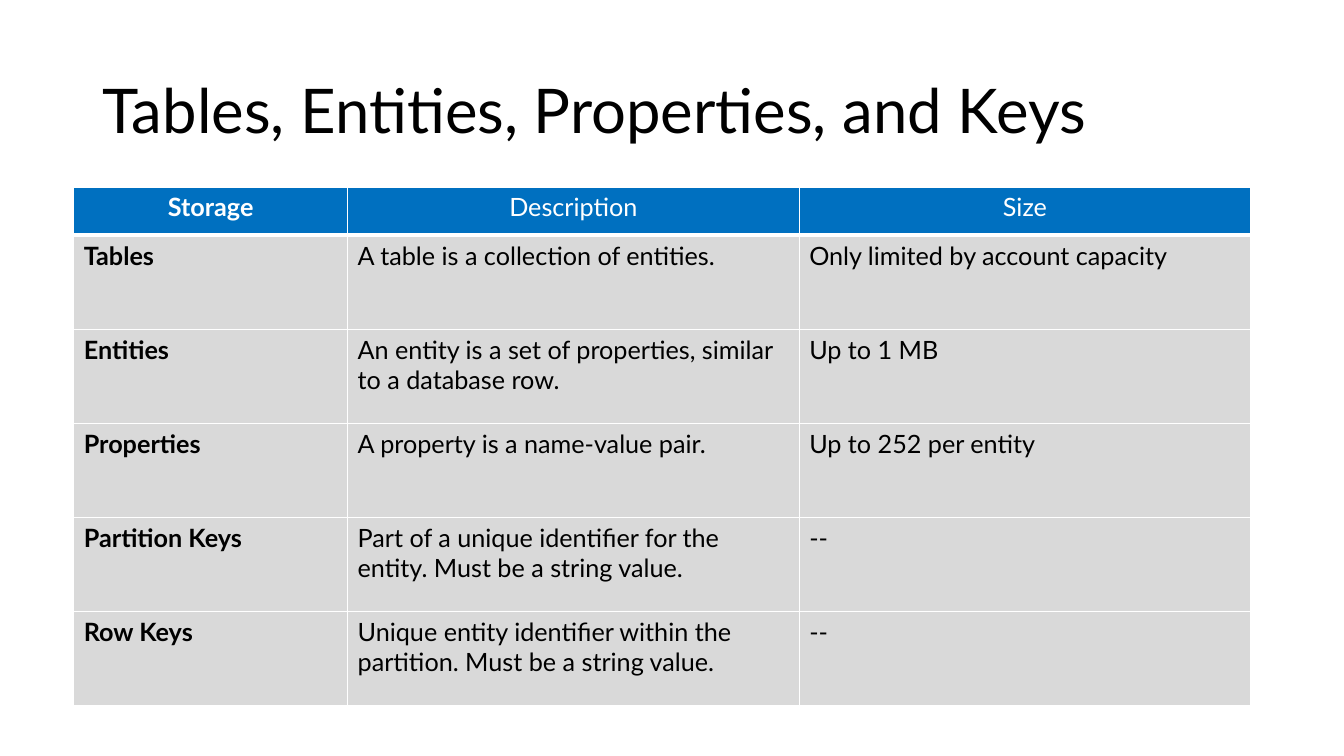
from lxml.etree import SubElement
from pptx import Presentation
from pptx.dml.color import RGBColor
from pptx.enum.text import MSO_ANCHOR, MSO_AUTO_SIZE, PP_ALIGN
from pptx.oxml.ns import qn
from pptx.util import Cm, Pt

COLOURS = {"text": "000000", "header": "0070C0", "body": "D9D9D9", "white": "FFFFFF"}
COLUMN_WIDTHS = [6.9, 11.38, 11.38]
HEADER_HEIGHT = 1.22
ROW_HEIGHT = 2.37
STORAGE_ROWS = [
    ("Storage", "Description", "Size"),
    ("Tables", "A table is a collection of entities.", "Only limited by account capacity"),
    ("Entities", "An entity is a set of properties, similar to a database row.", "Up to 1 MB"),
    ("Properties", "A property is a name-value pair.", "Up to 252 per entity"),
    ("Partition Keys", "Part of a unique identifier for the entity. Must be a string value.", "--"),
    ("Row Keys", "Unique entity identifier within the partition. Must be a string value.", "--"),
]


class SlideBuilder:
    font_name = "Lato"

    def __init__(self, slide):
        self.slide = slide

    def format_paragraph(self, paragraph, size, colour, bold=False, alignment=PP_ALIGN.LEFT):
        paragraph.alignment = alignment
        font = paragraph.font
        font.name = self.font_name
        font.size = Pt(size)
        font.bold = bold
        font.color.rgb = RGBColor.from_string(COLOURS[colour])

    def add_title(self, text, left, top, width, height):
        title = self.slide.shapes.title
        title.left, title.top = Cm(left), Cm(top)
        title.width, title.height = Cm(width), Cm(height)
        frame = title.text_frame
        frame.text = text
        frame.auto_size = MSO_AUTO_SIZE.NONE
        frame.vertical_anchor = MSO_ANCHOR.MIDDLE
        paragraph = frame.paragraphs[0]
        paragraph.line_spacing = 0.9
        self.format_paragraph(paragraph, 44, "text")

    def set_borders(self, cell, top, bottom):
        properties = cell._tc.get_or_add_tcPr()
        for side, width in (("L", 1), ("R", 1), ("T", top), ("B", bottom)):
            line = SubElement(properties, qn(f"a:ln{side}"), w=str(Pt(width)))
            fill = SubElement(line, qn("a:solidFill"))
            SubElement(fill, qn("a:srgbClr"), val=COLOURS["white"])

    def format_cell(self, cell, row, column):
        is_header = row == 0
        self.set_borders(cell, 3 if row == 1 else 1, 3 if is_header else 1)
        cell.fill.solid()
        cell.fill.fore_color.rgb = RGBColor.from_string(COLOURS["header" if is_header else "body"])
        self.format_paragraph(
            cell.text_frame.paragraphs[0],
            18,
            "white" if is_header else "text",
            bold=column == 0,
            alignment=PP_ALIGN.CENTER if is_header else PP_ALIGN.LEFT,
        )

    def add_table(self, rows, left, top):
        heights = [HEADER_HEIGHT] + [ROW_HEIGHT] * (len(rows) - 1)
        table = self.slide.shapes.add_table(
            len(rows), len(COLUMN_WIDTHS), Cm(left), Cm(top),
            Cm(sum(COLUMN_WIDTHS)), Cm(sum(heights)),
        ).table
        table.horz_banding = False
        for column, width in zip(table.columns, COLUMN_WIDTHS):
            column.width = Cm(width)
        for row, height in zip(table.rows, heights):
            row.height = Cm(height)
        for row_index, texts in enumerate(rows):
            for column_index, text in enumerate(texts):
                cell = table.cell(row_index, column_index)
                cell.text = text
                self.format_cell(cell, row_index, column_index)


def main():
    presentation = Presentation()
    presentation.slide_width = Cm(33.87)
    presentation.slide_height = Cm(19.05)
    slide = presentation.slides.add_slide(presentation.slide_layouts[5])
    builder = SlideBuilder(slide)
    builder.add_title("Tables, Entities, Properties, and Keys", 2.33, 1.01, 29.21, 3.68)
    builder.add_table(STORAGE_ROWS, 1.86, 4.71)
    presentation.save("out.pptx")


if __name__ == "__main__":
    main()
